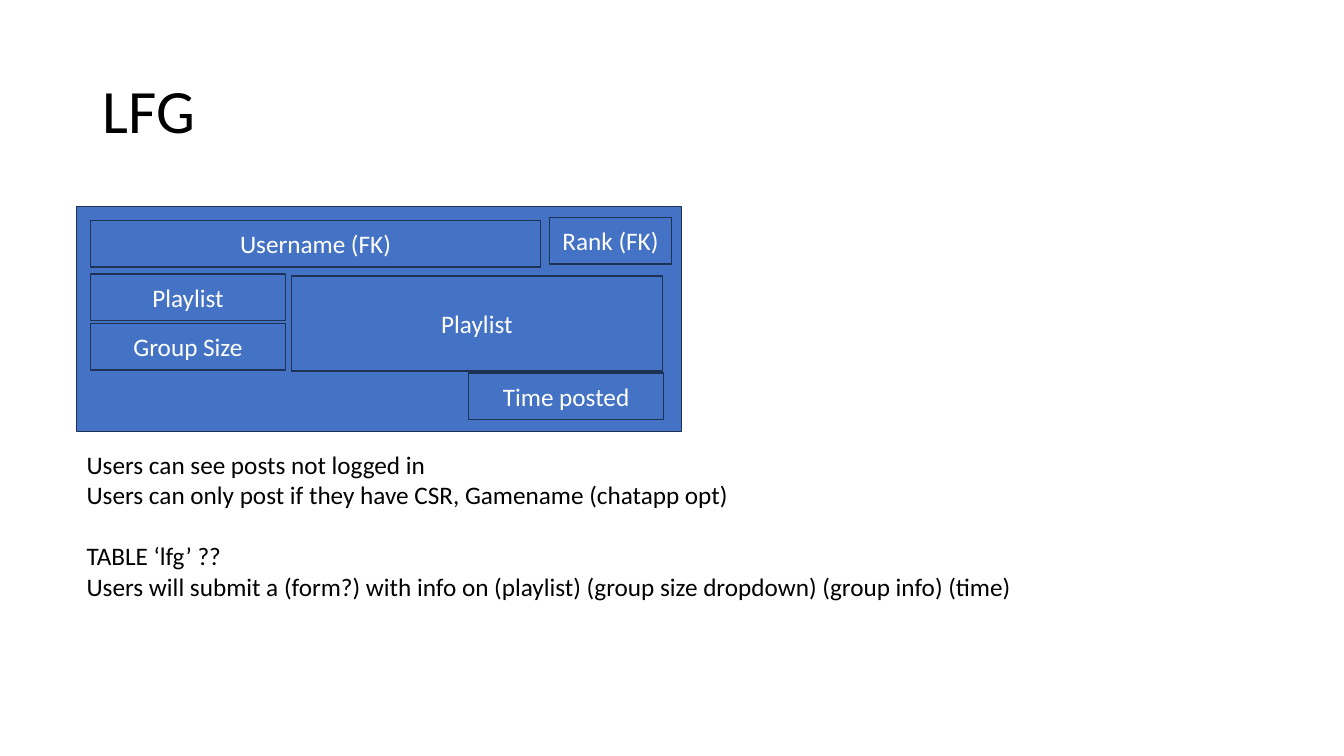
from dataclasses import dataclass

from pptx import Presentation
from pptx.dml.color import RGBColor
from pptx.enum.shapes import MSO_SHAPE
from pptx.enum.text import MSO_ANCHOR, PP_ALIGN
from pptx.util import Inches, Pt

TITLE = "LFG"
TITLE_BOX = (0.92, 0.4, 11.5, 1.45)

CARD_BOX = (0.76, 2.05, 6, 2.23)
FIELD_HEIGHT = 0.46
LEFT_COLUMN = 0.9
NARROW = 1.93
FIELDS = [
    ("Username (FK)", (LEFT_COLUMN, 2.19, 4.46, FIELD_HEIGHT)),
    ("Rank (FK)", (5.45, 2.16, 1.21, FIELD_HEIGHT)),
    ("Playlist", (LEFT_COLUMN, 2.72, NARROW, FIELD_HEIGHT)),
    ("Group Size", (LEFT_COLUMN, 3.21, NARROW, FIELD_HEIGHT)),
    ("Time posted", (4.65, 3.7, NARROW, FIELD_HEIGHT)),
    ("Playlist", (2.89, 2.74, 3.68, 0.94)),
]

NOTES_BOX = (0.76, 4.41, 10.25, 1.92)
NOTE_GROUPS = [
    [
        "Users can see posts not logged in",
        "Users can only post if they have CSR, Gamename (chatapp opt)",
    ],
    [
        "TABLE ‘lfg’ ??",
        "Users will submit a (form?) with info on (playlist) "
        "(group size dropdown) (group info) (time)",
    ],
]


@dataclass(frozen=True)
class Theme:
    font: str = "Calibri"
    title_size: Pt = Pt(44)
    text_size: Pt = Pt(18)
    group_gap: Pt = Pt(22)
    line_width: Pt = Pt(1)
    text: RGBColor = RGBColor(0x00, 0x00, 0x00)
    field_text: RGBColor = RGBColor(0xFF, 0xFF, 0xFF)
    fill: RGBColor = RGBColor(0x44, 0x72, 0xC4)
    line: RGBColor = RGBColor(0x1E, 0x32, 0x56)


THEME = Theme()


def to_inches(box):
    return [Inches(length) for length in box]


def style_paragraph(paragraph, size, color, alignment=PP_ALIGN.LEFT):
    paragraph.alignment = alignment
    paragraph.font.name = THEME.font
    paragraph.font.size = size
    paragraph.font.color.rgb = color


def add_title(slide):
    title = slide.shapes.title
    title.left, title.top, title.width, title.height = to_inches(TITLE_BOX)
    title.text_frame.text = TITLE
    title.text_frame.vertical_anchor = MSO_ANCHOR.MIDDLE
    paragraph = title.text_frame.paragraphs[0]
    paragraph.line_spacing = 0.9
    style_paragraph(paragraph, THEME.title_size, THEME.text)


def add_rectangle(slide, box):
    shape = slide.shapes.add_shape(MSO_SHAPE.RECTANGLE, *to_inches(box))
    shape.shadow.inherit = False
    shape.fill.solid()
    shape.fill.fore_color.rgb = THEME.fill
    shape.line.color.rgb = THEME.line
    shape.line.width = THEME.line_width
    return shape


def add_field(slide, label, box):
    frame = add_rectangle(slide, box).text_frame
    frame.text = label
    frame.vertical_anchor = MSO_ANCHOR.MIDDLE
    style_paragraph(frame.paragraphs[0], THEME.text_size, THEME.field_text, PP_ALIGN.CENTER)


def add_notes(slide):
    frame = slide.shapes.add_textbox(*to_inches(NOTES_BOX)).text_frame
    frame.word_wrap = True
    frame.text = "\n".join(line for group in NOTE_GROUPS for line in group)
    for paragraph in frame.paragraphs:
        style_paragraph(paragraph, THEME.text_size, THEME.text)
    group_start = 0
    for group in NOTE_GROUPS[:-1]:
        group_start += len(group)
        frame.paragraphs[group_start].space_before = THEME.group_gap


def main():
    presentation = Presentation()
    presentation.slide_width = Inches(13.33)
    presentation.slide_height = Inches(7.5)
    title_only = presentation.slide_layouts.get_by_name("Title Only")
    slide = presentation.slides.add_slide(title_only)
    add_title(slide)
    add_rectangle(slide, CARD_BOX)
    for label, box in FIELDS:
        add_field(slide, label, box)
    add_notes(slide)
    presentation.save("out.pptx")


if __name__ == "__main__":
    main()
